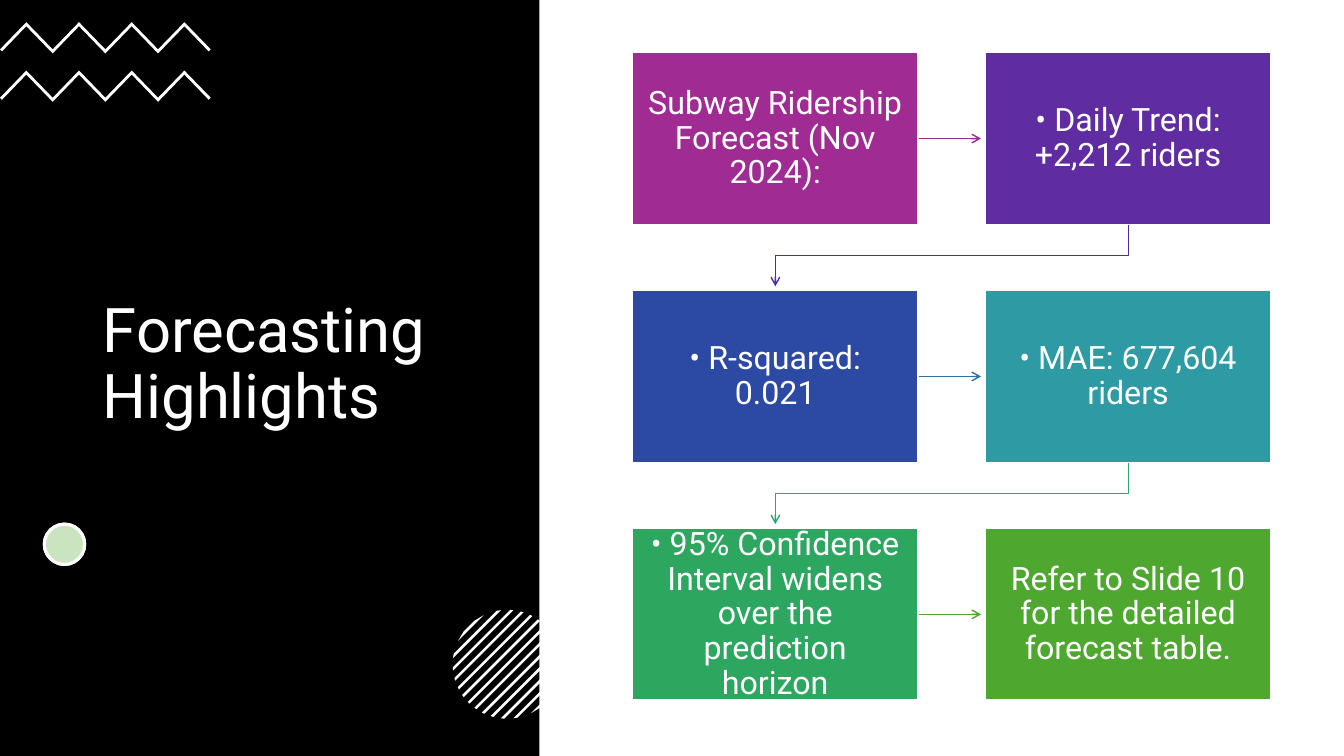
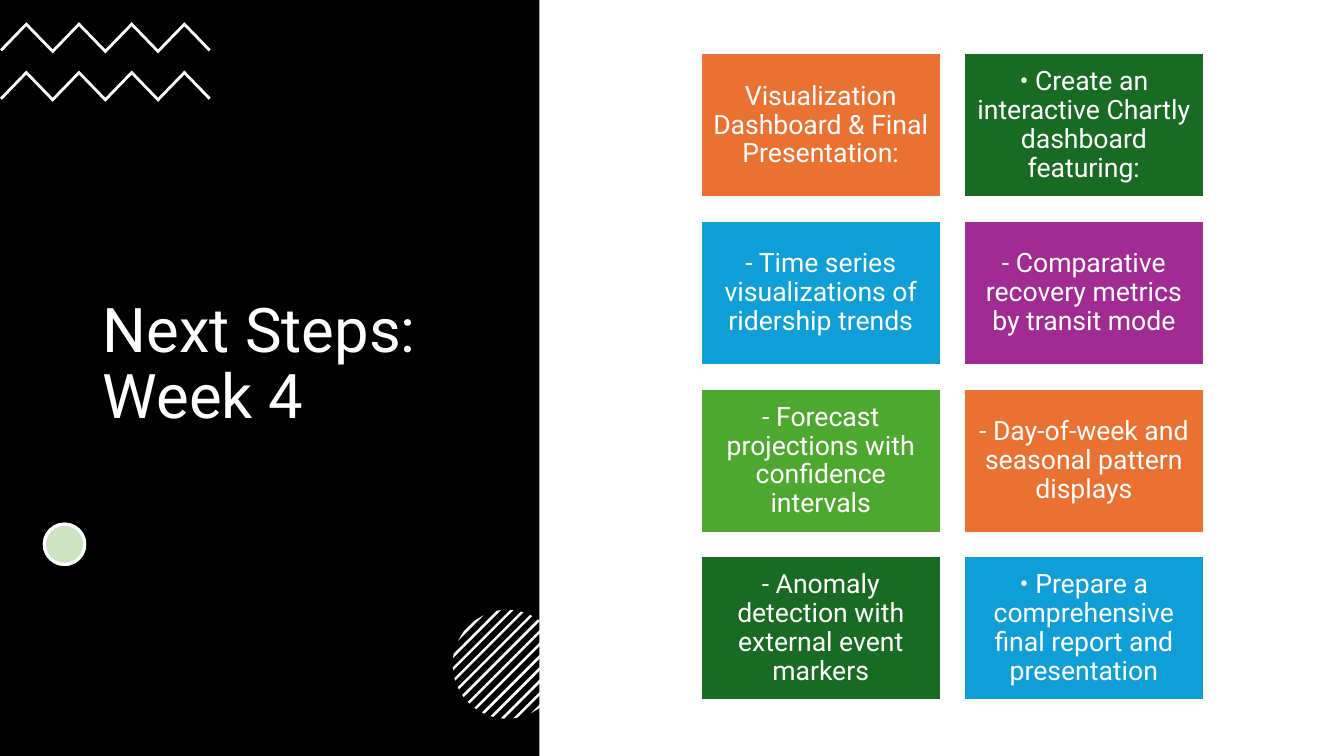
"""Builds two slides with a dark title panel beside a grid of coloured boxes."""
from dataclasses import dataclass
from math import sqrt

from lxml import etree
from pptx import Presentation
from pptx.dml.color import RGBColor
from pptx.enum.shapes import MSO_CONNECTOR, MSO_SHAPE
from pptx.enum.text import MSO_ANCHOR, PP_ALIGN
from pptx.oxml.ns import qn
from pptx.util import Inches, Pt

RECTANGLE, OVAL = MSO_SHAPE.RECTANGLE, MSO_SHAPE.OVAL
STRAIGHT, ELBOW = MSO_CONNECTOR.STRAIGHT, MSO_CONNECTOR.ELBOW
MIDDLE, CENTER, LEFT = MSO_ANCHOR.MIDDLE, PP_ALIGN.CENTER, PP_ALIGN.LEFT
RIGHT_SIDE = 3
QUARTER_TURN = "5400000"
SLIDE_WIDTH, SLIDE_HEIGHT = 13.33, 7.5


@dataclass(frozen=True)
class Theme:
    font: str = "Roboto"
    panel: str = "000000"
    light: str = "FFFFFF"
    orange: str = "E97132"
    forest: str = "196B24"
    sky: str = "0F9ED5"
    magenta: str = "A02B93"
    violet: str = "5F2CA1"
    blue: str = "2C49A3"
    teal: str = "2D9AA4"
    jade: str = "2DA65F"
    green: str = "4EA72E"
    indigo_arrow: str = "4B2CA2"
    blue_arrow: str = "2C71A4"
    jade_arrow: str = "2DA573"
    title_size: float = 44
    flow_size: float = 23
    step_size: float = 19
    spacing: float = 0.9
    border: float = 1.5
    dot_border: float = 2.25
    arrow: float = 1


THEME = Theme()


@dataclass(frozen=True)
class Grid:
    left: float
    top: float
    right: float
    bottom: float
    columns: int
    rows: int
    box_width: float
    box_height: float

    def place(self, index):
        """Return the rectangle of a cell, counted row by row."""
        row, column = divmod(index, self.columns)
        column_step = (self.right - self.left - self.box_width) / (self.columns - 1)
        row_step = (self.bottom - self.top - self.box_height) / (self.rows - 1)
        return (self.left + column * column_step, self.top + row * row_step,
                self.box_width, self.box_height)


FLOW_GRID = Grid(6.27, 0.52, 12.61, 6.95, 2, 3, 2.84, 1.71)
STEP_GRID = Grid(6.95, 0.53, 11.94, 6.95, 2, 4, 2.38, 1.43)
ARROW_GAP = 0.04

FLOW = [
    ("Subway Ridership Forecast (Nov 2024):", THEME.magenta),
    ("• Daily Trend: +2,212 riders", THEME.violet),
    ("• R-squared: 0.021", THEME.blue),
    ("• MAE: 677,604 riders", THEME.teal),
    ("• 95% Confidence Interval widens over the prediction horizon", THEME.jade),
    ("Refer to Slide 10 for the detailed forecast table.", THEME.green),
]
FLOW_ARROWS = [THEME.magenta, THEME.indigo_arrow, THEME.blue_arrow,
               THEME.jade_arrow, THEME.green]
STEPS = [
    ("Visualization Dashboard & Final Presentation:", THEME.orange),
    ("• Create an interactive Chartly dashboard featuring:", THEME.forest),
    ("- Time series visualizations of ridership trends", THEME.sky),
    ("- Comparative recovery metrics by transit mode", THEME.magenta),
    ("- Forecast projections with confidence intervals", THEME.green),
    ("- Day-of-week and seasonal pattern displays", THEME.orange),
    ("- Anomaly detection with external event markers", THEME.forest),
    ("• Prepare a comprehensive final report and presentation", THEME.sky),
]


def paint(shape, fill, line=None, width=0):
    """Give a shape a flat fill and an optional outline."""
    shape.shadow.inherit = False
    shape.fill.solid()
    shape.fill.fore_color.rgb = RGBColor.from_string(fill)
    if line:
        shape.line.color.rgb = RGBColor.from_string(line)
        shape.line.width = Pt(width)
    else:
        shape.line.fill.background()


def add_figure(page, kind, place, fill, line=None, width=0):
    """Add a painted preset shape."""
    shape = page.shapes.add_shape(kind, *map(Inches, place))
    paint(shape, fill, line, width)
    return shape


def add_polygon(page, points, fill):
    """Add a closed, filled outline."""
    start, *others = [(Inches(x), Inches(y)) for x, y in points]
    builder = page.shapes.build_freeform(*start)
    builder.add_line_segments(others, close=True)
    paint(builder.convert_to_shape(), fill)


def write(shape, text, size, align, inset_x=0.1, inset_y=0.05):
    """Write one light paragraph, centred vertically in a shape."""
    frame = shape.text_frame
    frame.word_wrap = True
    frame.vertical_anchor = MIDDLE
    frame.margin_left = frame.margin_right = Inches(inset_x)
    frame.margin_top = frame.margin_bottom = Inches(inset_y)
    para = frame.paragraphs[0]
    para.alignment = align
    para.line_spacing = THEME.spacing
    span = para.add_run()
    span.text = text
    span.font.name = THEME.font
    span.font.size = Pt(size)
    span.font.color.rgb = RGBColor.from_string(THEME.light)


def add_zigzag(page, top, width=2.09, folds=8, rise=0.27, thickness=0.04):
    """Add a zigzag ribbon starting at the left edge."""
    pitch = width / folds
    upper = [(i * pitch, top + rise * (i % 2 == 0)) for i in range(folds + 1)]
    lower = [(x, y + thickness) for x, y in upper[-2:0:-1]]
    cut = thickness / 2
    end_y = top + rise + cut
    add_polygon(page, [*upper, (width - cut, end_y), *lower, (cut, end_y)], THEME.light)


def add_striped_disc(page, center_x=5.03, center_y=6.59, radius=0.54,
                     stripes=13, pitch=0.087, thickness=0.025):
    """Add a disc made of parallel diagonal stripes."""
    def chord(offset):
        """Return both ends of the chord at a distance from the centre."""
        half = sqrt(radius ** 2 - offset ** 2)
        return [(center_x + (offset + side * half) / sqrt(2),
                 center_y + (offset - side * half) / sqrt(2)) for side in (1, -1)]

    for i in range(stripes):
        offset = (i - stripes // 2) * pitch
        first, second = chord(offset - thickness / 2), chord(offset + thickness / 2)
        add_polygon(page, first + second[::-1], THEME.light)


def add_dot(page):
    """Add the pale green dot over its white base."""
    for fill in (THEME.light, THEME.green):
        dot = add_figure(page, OVAL, (0.44, 5.2, 0.4, 0.4), fill,
                         THEME.light, THEME.dot_border)
    color = dot.fill._xPr.find(qn("a:solidFill"))[0]
    etree.SubElement(color, qn("a:alpha")).set("val", "30000")


def add_panel_page(deck, title):
    """Add a page with the dark panel, its title and its ornaments."""
    page = deck.slides.add_slide(deck.slide_layouts[6])
    add_figure(page, RECTANGLE, (0, 0, 5.35, SLIDE_HEIGHT), THEME.panel)
    box = page.shapes.add_textbox(*map(Inches, (0.92, 1.31, 3.5, 4.63)))
    write(box, title, THEME.title_size, LEFT)
    for top in (0.22, 0.7):
        add_zigzag(page, top)
    add_dot(page)
    add_striped_disc(page)
    return page


def add_boxes(page, grid, items, size, inset_x, inset_y):
    """Fill a grid with coloured text boxes and return them."""
    boxes = []
    for i, (text, fill) in enumerate(items):
        box = add_figure(page, RECTANGLE, grid.place(i), fill, THEME.light, THEME.border)
        write(box, text, size, CENTER, inset_x, inset_y)
        boxes.append(box)
    return boxes


def add_arrow(page, kind, begin, end, color):
    """Add a thin connector with an open arrowhead at its end."""
    arrow = page.shapes.add_connector(kind, *begin, *end)
    arrow.line.color.rgb = RGBColor.from_string(color)
    arrow.line.width = Pt(THEME.arrow)
    line = arrow.line._get_or_add_ln()
    etree.SubElement(line, qn("a:tailEnd")).set("type", "arrow")
    etree.SubElement(arrow._element.spPr, qn("a:effectLst"))
    return arrow


def link_across(page, source, target, color):
    """Point from a box to its right-hand neighbour."""
    y = source.top + source.height // 2
    arrow = add_arrow(page, STRAIGHT, (source.left + source.width, y),
                      (target.left - Inches(ARROW_GAP), y), color)
    arrow.begin_connect(source, RIGHT_SIDE)


def link_down(page, source, target, color):
    """Point from the end of a row to the start of the next one."""
    start_x = source.left + source.width // 2
    end_x = target.left + target.width // 2
    start_y = source.top + source.height
    end_y = target.top - Inches(ARROW_GAP)
    middle_x, middle_y = (start_x + end_x) // 2, (start_y + end_y) // 2
    half_drop, half_run = (end_y - start_y) // 2, (start_x - end_x) // 2
    arrow = add_arrow(page, ELBOW, (middle_x - half_drop, middle_y - half_run),
                      (middle_x + half_drop, middle_y + half_run), color)
    arrow._element.spPr.find(qn("a:xfrm")).set("rot", QUARTER_TURN)


def main():
    """Build and save the deck."""
    deck = Presentation()
    deck.slide_width, deck.slide_height = Inches(SLIDE_WIDTH), Inches(SLIDE_HEIGHT)

    page = add_panel_page(deck, "Forecasting Highlights")
    boxes = add_boxes(page, FLOW_GRID, FLOW, THEME.flow_size, 0.14, 0.15)
    for source, target, color in zip(boxes, boxes[1:], FLOW_ARROWS):
        link = link_across if source.top == target.top else link_down
        link(page, source, target, color)

    page = add_panel_page(deck, "Next Steps: Week 4")
    add_boxes(page, STEP_GRID, STEPS, THEME.step_size, 0.08, 0.08)

    deck.save("out.pptx")


if __name__ == "__main__":
    main()
